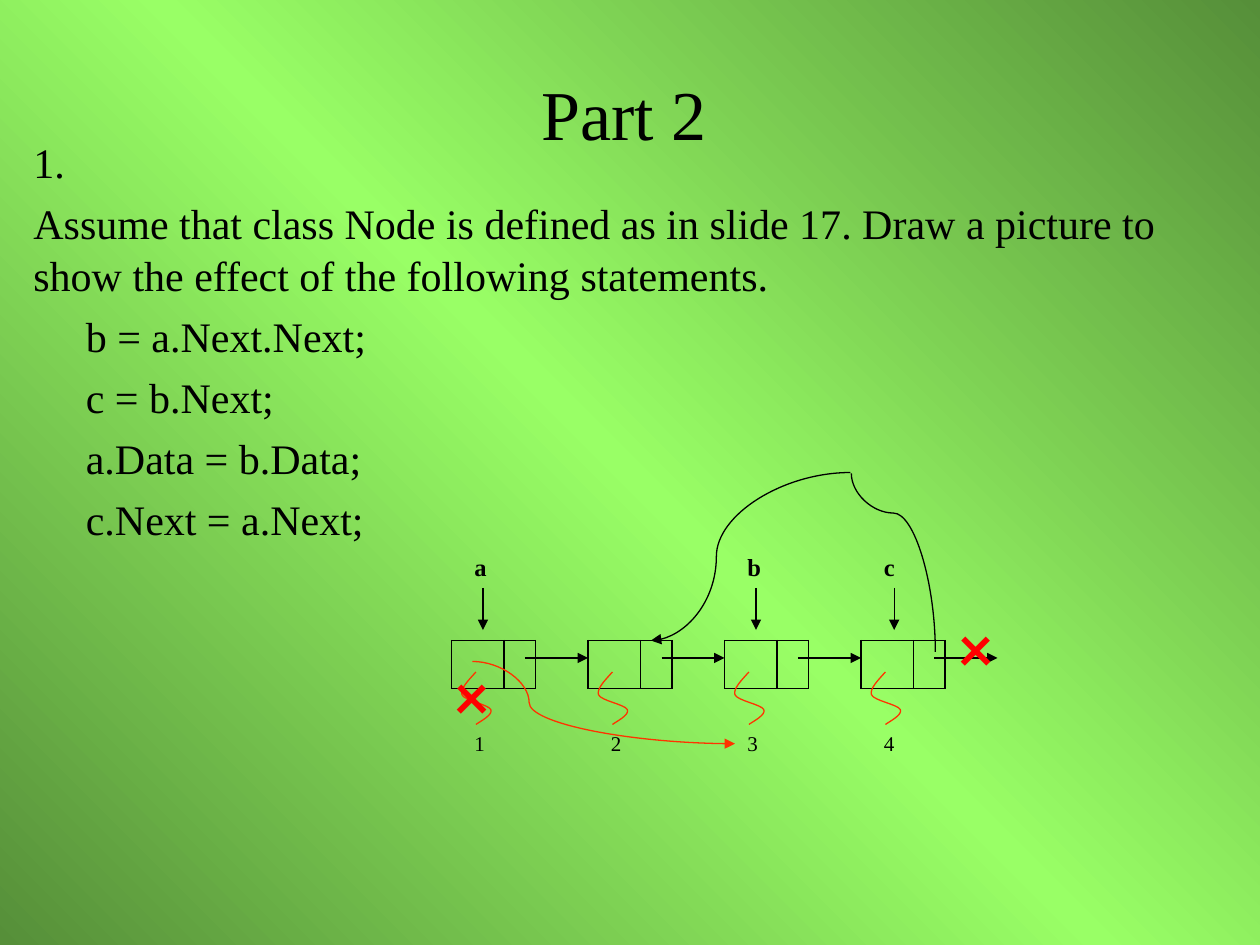
from copy import deepcopy
from dataclasses import dataclass

from lxml.etree import SubElement as Sub
from pptx import Presentation
from pptx.dml.color import RGBColor as Rgb
from pptx.enum.shapes import MSO_CONNECTOR as Conn
from pptx.enum.text import PP_ALIGN as Align
from pptx.oxml.ns import qn
from pptx.util import Pt


@dataclass(frozen=True)
class Theme:
    ink: str = "000000"
    red: str = "FF3300"
    cross: str = "FF0000"
    edge: str = "568F39"
    glow: str = "99FF66"
    font: str = "Times New Roman"
    mark: str = "Lato"
    title: int = 40
    body: int = 24
    name: int = 14
    data: int = 12
    sign: int = 36
    line: float = 0.75


@dataclass(frozen=True)
class Node:
    left: float
    data: str
    name: str = ""
    tip: float = 0


@dataclass(frozen=True)
class Curve:
    start: tuple[float, float]
    end: tuple[float, float]
    bend: int
    color: str
    turn: int = 0
    arrow: bool = True


T = Theme()
TOP = 366
DATA_W, NEXT_W, NODE_H = 30, 18, 27.5
FIRST, PITCH = 258, 78
NODES = [
    Node(FIRST + i * PITCH, str(i + 1), name, tip)
    for i, (name, tip) in enumerate([("a", 276), ("", 0), ("b", 432), ("c", 511)])
]
CURVES = [
    Curve((270, 378), (420, 425), 21600, T.red),
    Curve((561.5, 297.5), (459.5, 345.5), 77800, T.ink, turn=90, arrow=False),
    Curve((486, 270), (372, 366), 67200, T.ink),
]
# Start point, then three Bezier points for each bend
WAVE = [(9, 0), (4.5, 5), (0, 9.5), (1, 13), (2.5, 16.5), (16, 18.5),
        (17.5, 21.5), (19, 24.5), (11, 28.5), (9, 30)]


def put(slide, text: str, box: tuple, *, size: float, font: str = T.font,
        color: str = T.ink, bold: bool = False, wrap: bool = False,
        align=Align.LEFT, lead: float = 1, gap: float = 0,
        code: int = 99) -> None:
    """Place text, one paragraph a line; lines from index code on are indented."""
    frame = slide.shapes.add_textbox(*map(Pt, box)).text_frame
    frame.word_wrap = wrap
    for i, line in enumerate(text.split("\n")):
        para = frame.paragraphs[0] if i == 0 else frame.add_paragraph()
        para.alignment, para.line_spacing = align, lead
        para.space_before = Pt(gap if i else 0)
        if i >= code:
            para._p.get_or_add_pPr().set("marL", str(Pt(30)))
        run = para.add_run()
        run.text = line
        run.font.name, run.font.size, run.font.bold = font, Pt(size), bold
        run.font.color.rgb = Rgb.from_string(color)


def link(slide, start: tuple, end: tuple, *, kind=Conn.STRAIGHT,
         color: str = T.ink, arrow: bool = True):
    line = slide.shapes.add_connector(kind, *map(Pt, (*start, *end)))
    line.line.width = Pt(T.line)
    line.line.color.rgb = Rgb.from_string(color)
    if arrow:
        Sub(line.line._get_or_add_ln(), qn("a:tailEnd"), type="triangle")
    Sub(line._element.spPr, qn("a:effectLst"))
    return line


def bend(slide, curve: Curve) -> None:
    """Draw a curved connector with its own bend and turn."""
    line = link(slide, curve.start, curve.end, kind=Conn.CURVE,
                color=curve.color, arrow=curve.arrow)
    props = line._element.spPr
    if curve.turn:
        props.find(qn("a:xfrm")).set("rot", str(curve.turn * 60000))
    guides = props.find(qn("a:prstGeom")).find(qn("a:avLst"))
    Sub(guides, qn("a:gd"), name="adj1", fmla=f"val {curve.bend}")


def wave(slide, left: float, top: float) -> None:
    """Draw the wavy link from a node to its value."""
    spots = [(Pt(left + x), Pt(top + y)) for x, y in WAVE]
    pen = slide.shapes.build_freeform(*spots[0])
    pen.add_line_segments(spots[1:], close=False)
    shape = pen.convert_to_shape()
    shape.shadow.inherit = False
    shape.fill.background()
    shape.line.width = Pt(T.line)
    shape.line.color.rgb = Rgb.from_string(T.red)
    path = shape._element.find(".//" + qn("a:path"))
    steps = path.findall(qn("a:lnTo"))
    for i in range(0, len(steps), 3):
        cubic = Sub(path, qn("a:cubicBezTo"))
        for step in steps[i:i + 3]:
            cubic.append(step[0])
            path.remove(step)


def edge(cell) -> None:
    """Give a cell no fill and a thin line on all sides."""
    cell.margin_top = cell.margin_bottom = 0
    props = cell._tc.get_or_add_tcPr()
    for side in ("lnL", "lnR", "lnT", "lnB"):
        line = Sub(props, qn("a:" + side), w=str(Pt(1)))
        Sub(Sub(line, qn("a:solidFill")), qn("a:srgbClr"), val=T.ink)
    cell.fill.background()


def box(slide, left: float) -> None:
    """Draw a node as a table with a data and a next cell."""
    size = map(Pt, (left, TOP, DATA_W + NEXT_W, NODE_H))
    table = slide.shapes.add_table(1, 2, *size).table
    table.first_row = table.horz_banding = False
    table.rows[0].height = Pt(NODE_H)
    for col, width in zip(table.columns, (DATA_W, NEXT_W)):
        col.width = Pt(width)
    for cell in table.iter_cells():
        edge(cell)


def paint(slide) -> None:
    """Fill the background with a diagonal gradient."""
    fill = slide.background.fill
    fill.gradient()
    fill.gradient_angle = 45
    stops = slide._element.find(".//" + qn("a:gsLst"))
    stops.append(deepcopy(stops[-1]))
    tones = ((0, T.edge), (0.5, T.glow), (1, T.edge))
    for stop, (spot, color) in zip(fill.gradient_stops, tones):
        stop.position = spot
        stop.color.rgb = Rgb.from_string(color)


def main() -> None:
    deck = Presentation()
    deck.slide_width, deck.slide_height = Pt(720), Pt(540)
    slide = deck.slides.add_slide(deck.slide_layouts[6])
    paint(slide)

    put(slide, "1.\nAssume that class Node is defined as in slide 17. "
        "Draw a picture to show the effect of the following statements.\n"
        "b = a.Next.Next;\nc = b.Next;\na.Data = b.Data;\nc.Next = a.Next;",
        (12, 73.5, 690, 228), size=T.body, wrap=True, lead=1.04, gap=4.8, code=2)
    put(slide, "Part 2 ", (192, 27, 339, 42), size=T.title, wrap=True,
        align=Align.CENTER, lead=1.2)

    for node in NODES:
        left = node.left
        box(slide, left)
        link(slide, (left + 42, 376), (left + PITCH, 376))
        wave(slide, left + 5, 384)
        put(slide, node.data, (left + 6, 414, 18, 22), size=T.data)
        if node.name:
            put(slide, node.name, (left + 6, 312, 22, 24), size=T.name, bold=True)
            link(slide, (node.tip, 336), (node.tip, 360))

    for curve in CURVES:
        bend(slide, curve)
    for left, top in ((252, 372), (540, 345)):
        put(slide, "×", (left, top, 36, 51), size=T.sign, font=T.mark,
            color=T.cross, bold=True)
    deck.save("out.pptx")


if __name__ == "__main__":
    main()
